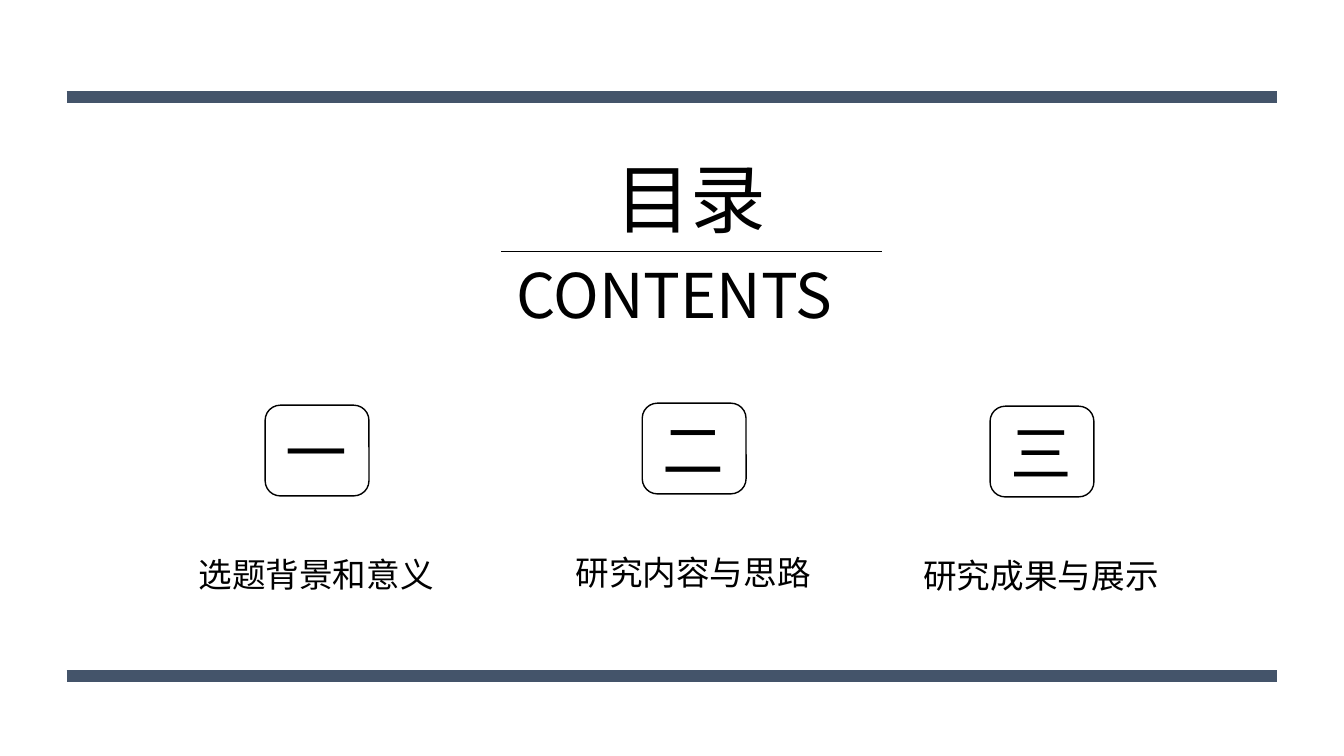
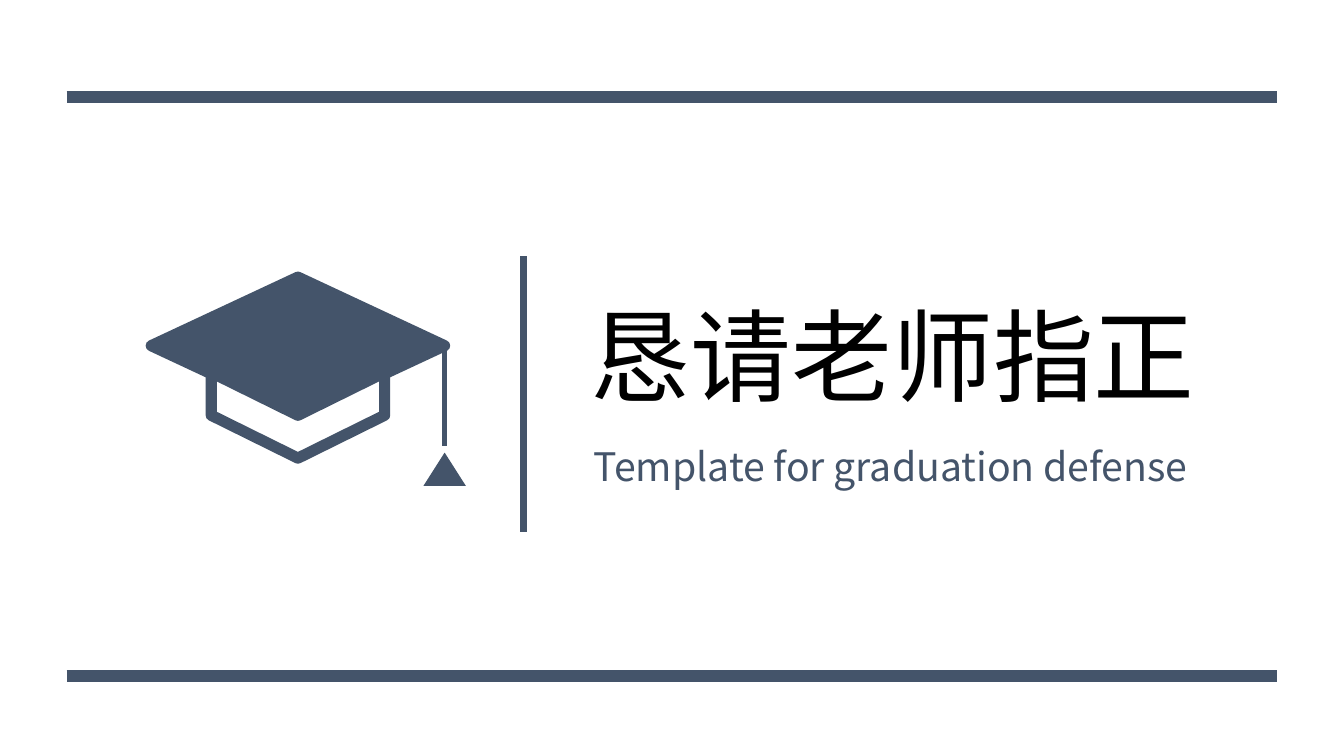
from lxml import etree
from pptx import Presentation
from pptx.dml.color import RGBColor
from pptx.enum.shapes import MSO_CONNECTOR, MSO_SHAPE
from pptx.enum.text import MSO_ANCHOR, MSO_AUTO_SIZE, PP_ALIGN
from pptx.oxml.ns import qn
from pptx.util import Pt

PX = 9144
FONT = "Noto Sans CJK SC"
COLORS = {"navy": "44546A", "black": "000000", "white": "FFFFFF"}
STRAIGHT = MSO_CONNECTOR.STRAIGHT
ROUND_RECT = MSO_SHAPE.ROUNDED_RECTANGLE
DIAMOND = MSO_SHAPE.DIAMOND
CHEVRON = MSO_SHAPE.CHEVRON
TRIANGLE = MSO_SHAPE.ISOSCELES_TRIANGLE
LEFT, TOP = PP_ALIGN.LEFT, MSO_ANCHOR.TOP
FIT_SHAPE = MSO_AUTO_SIZE.SHAPE_TO_FIT_TEXT
TITLE_ONLY = 5


def px(*values):
    return [v * PX for v in values]


def rgb(name):
    return RGBColor.from_string(COLORS[name])


def set_text(sp, text, size, color):
    tf = sp.text_frame
    tf.word_wrap = False
    tf.auto_size = FIT_SHAPE
    tf.vertical_anchor = TOP
    p = tf.paragraphs[0]
    p.text = text
    p.alignment = LEFT
    p.font.size = Pt(size)
    p.font.name = FONT
    p.font.color.rgb = rgb(color)
    latin = next(p.font._element.iter(qn("a:latin")))
    ea = etree.Element(qn("a:ea"), typeface=FONT)
    latin.addnext(ea)


def add_text(slide, box, text, size, color="black"):
    sp = slide.shapes.add_textbox(*px(*box))
    set_text(sp, text, size, color)


def set_title(slide, box, text, size):
    sp = slide.shapes.title
    sp.left, sp.top, sp.width, sp.height = px(*box)
    set_text(sp, text, size, "black")


def add_line(slide, x1, y1, x2, y2, color, width):
    line = slide.shapes.add_connector(STRAIGHT, *px(x1, y1, x2, y2))
    line.line.color.rgb = rgb(color)
    line.line.width = Pt(width)
    etree.SubElement(line._element.spPr, qn("a:effectLst"))
    return line


def add_shape(slide, kind, box, fill=None, line=None, width=1):
    sp = slide.shapes.add_shape(kind, *px(*box))
    sp.shadow.inherit = False
    if fill:
        sp.fill.solid()
        sp.fill.fore_color.rgb = rgb(fill)
    else:
        sp.fill.background()
    if line:
        sp.line.color.rgb = rgb(line)
        sp.line.width = Pt(width)
        etree.SubElement(sp.line._get_or_add_ln(), qn("a:round"))
    else:
        sp.line.fill.background()
    return sp


def new_slide(prs):
    slide = prs.slides.add_slide(prs.slide_layouts[TITLE_ONLY])
    slide.background.fill.solid()
    slide.background.fill.fore_color.rgb = rgb("white")
    for y in (96, 671):
        add_line(slide, 66, y, 1267, y, "navy", 8.5)
    return slide


def add_heading(slide, x, y):
    set_title(slide, (x + 103, y, 172, 101), "目录", 54)
    add_line(slide, x, y + 103, x + 378, y + 103, "black", 0.5)
    add_text(slide, (x + 5, y + 104, 368, 84), "CONTENTS", 44)


def add_topic(slide, x, y, number, caption):
    add_shape(slide, ROUND_RECT, (x, y, 103, 90), line="black")
    add_text(slide, (x + 10, y + 4, 82, 84), number, 44)
    add_text(slide, (x - 76, y + 143, 256, 50), caption, 24)


def add_cap(slide, x, y):
    board = add_shape(slide, DIAMOND, (x, y, 291, 136), "navy", "navy", 8)
    brim = add_shape(slide, CHEVRON, (x + 103, y + 51, 85, 172), "white", "navy", 8)
    brim.rotation = 90
    cord = add_line(slide, x + 291, y + 68, x + 291, y + 167, "navy", 3.5)
    cord.begin_connect(board, 3)
    add_shape(slide, TRIANGLE, (x + 270, y + 174, 42, 33), "navy")


def add_closing(slide, x, y):
    add_line(slide, x, y, x, y + 274, "navy", 5)
    set_title(slide, (x + 56, y + 32, 626, 131), "恳请老师指正", 72)
    add_text(slide, (x + 60, y + 180, 648, 57),
             "Template for graduation defense", 28, "navy")


def contents_slide(prs):
    slide = new_slide(prs)
    add_heading(slide, 497, 146)
    topics = [
        (263, 402, "一", "选题背景和意义"),
        (637, 400, "二", "研究内容与思路"),
        (982, 403, "三", "研究成果与展示"),
    ]
    for topic in topics:
        add_topic(slide, *topic)


def closing_slide(prs):
    slide = new_slide(prs)
    add_cap(slide, 150, 275)
    add_closing(slide, 519, 254)


def main():
    prs = Presentation()
    prs.slide_width, prs.slide_height = px(1333, 750)
    contents_slide(prs)
    closing_slide(prs)
    prs.save("out.pptx")


if __name__ == "__main__":
    main()
